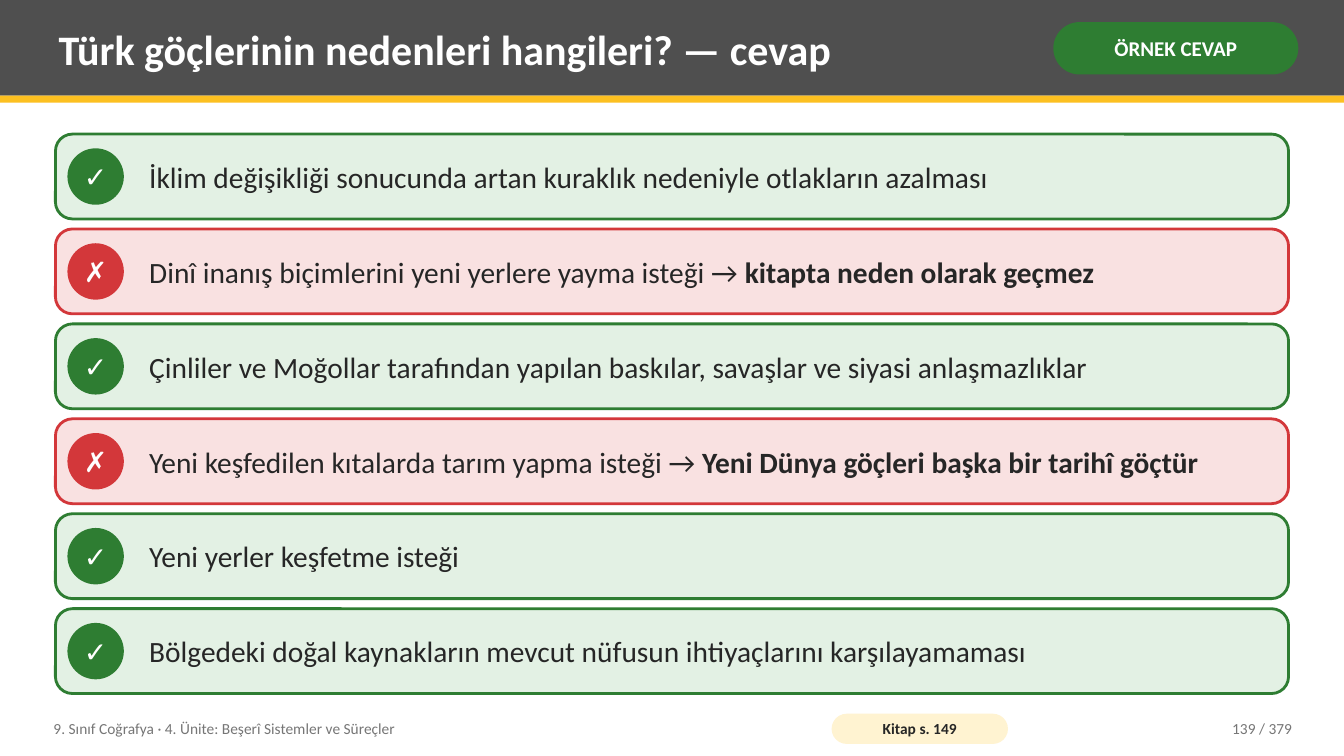
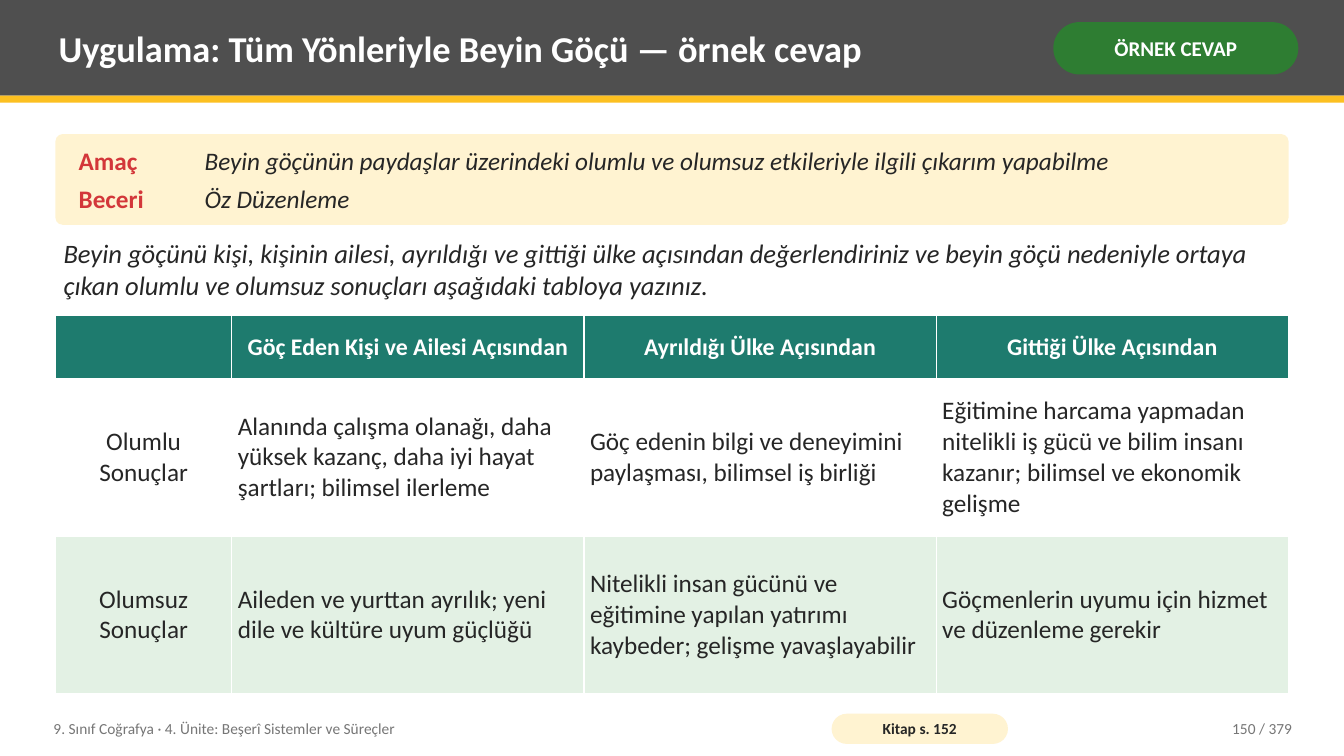
from dataclasses import dataclass

from lxml.etree import SubElement
from pptx import Presentation
from pptx.dml.color import RGBColor
from pptx.enum.shapes import MSO_SHAPE
from pptx.enum.text import MSO_ANCHOR, MSO_AUTO_SIZE, PP_ALIGN
from pptx.oxml.ns import qn
from pptx.util import Pt

BADGE = "ÖRNEK CEVAP"
FOOTER = "9. Sınıf Coğrafya · 4. Ünite: Beşerî Sistemler ve Süreçler"
PAGE_COUNT = 379

CAUSES = dict(
    title="Türk göçlerinin nedenleri hangileri? — cevap", title_size=30, book_page=149, page=139,
    answers=[
        (True, "İklim değişikliği sonucunda artan kuraklık nedeniyle otlakların azalması", ""),
        (False, "Dinî inanış biçimlerini yeni yerlere yayma isteği → ", "kitapta neden olarak geçmez"),
        (True, "Çinliler ve Moğollar tarafından yapılan baskılar, savaşlar ve siyasi anlaşmazlıklar", ""),
        (False, "Yeni keşfedilen kıtalarda tarım yapma isteği → ", "Yeni Dünya göçleri başka bir tarihî göçtür"),
        (True, "Yeni yerler keşfetme isteği", ""),
        (True, "Bölgedeki doğal kaynakların mevcut nüfusun ihtiyaçlarını karşılayamaması", ""),
    ],
)
BRAIN_DRAIN = dict(
    title="Uygulama: Tüm Yönleriyle Beyin Göçü — örnek cevap", title_size=26, book_page=152, page=150,
    goals=[
        ("Amaç", "Beyin göçünün paydaşlar üzerindeki olumlu ve olumsuz etkileriyle ilgili çıkarım yapabilme"),
        ("Beceri", "Öz Düzenleme"),
    ],
    task="Beyin göçünü kişi, kişinin ailesi, ayrıldığı ve gittiği ülke açısından değerlendiriniz ve "
         "beyin göçü nedeniyle ortaya çıkan olumlu ve olumsuz sonuçları aşağıdaki tabloya yazınız.",
    table=[
        ["", "Göç Eden Kişi ve Ailesi Açısından", "Ayrıldığı Ülke Açısından", "Gittiği Ülke Açısından"],
        ["Olumlu Sonuçlar",
         "Alanında çalışma olanağı, daha yüksek kazanç, daha iyi hayat şartları; bilimsel ilerleme",
         "Göç edenin bilgi ve deneyimini paylaşması, bilimsel iş birliği",
         "Eğitimine harcama yapmadan nitelikli iş gücü ve bilim insanı kazanır; bilimsel ve ekonomik gelişme"],
        ["Olumsuz Sonuçlar",
         "Aileden ve yurttan ayrılık; yeni dile ve kültüre uyum güçlüğü",
         "Nitelikli insan gücünü ve eğitimine yapılan yatırımı kaybeder; gelişme yavaşlayabilir",
         "Göçmenlerin uyumu için hizmet ve düzenleme gerekir"],
    ],
)


@dataclass(frozen=True)
class Theme:
    font: str = "Calibri"
    white: str = "FFFFFF"
    ink: str = "262626"
    muted: str = "767676"
    header: str = "4F4F4F"
    accent: str = "FCC021"
    cream: str = "FFF3D1"
    green: str = "2E7D32"
    pale_green: str = "E3F1E4"
    red: str = "D3373A"
    pale_red: str = "F9E1E1"
    teal: str = "1E7B6E"
    small: int = 11
    badge: int = 15
    table_head: int = 17
    body: int = 18
    task: int = 19
    mark: int = 20
    answer: int = 21


T = Theme()
SLIDE_W, SLIDE_H = 960, 540
LEFT, TOP, WIDTH, BOTTOM = 39.6, 95.8, 880.8, 495.4
INSETS = (5.8, 2.9)


def rgb(color):
    return RGBColor.from_string(color)


def write(tf, text, size=T.body, color=T.ink, bold=False, italic=False, align=PP_ALIGN.LEFT, strong=""):
    p = tf.paragraphs[0]
    p.alignment = align
    for part, is_bold in ((text, bold), (strong, True)):
        if part:
            r = p.add_run()
            r.text = part
            r.font.name, r.font.size = T.font, Pt(size)
            r.font.bold, r.font.italic = is_bold, italic
            r.font.color.rgb = rgb(color)


def set_frame(tf, insets=INSETS, wrap=True):
    tf.auto_size = MSO_AUTO_SIZE.NONE
    tf.word_wrap = wrap
    tf.vertical_anchor = MSO_ANCHOR.MIDDLE
    tf.margin_left = tf.margin_right = Pt(insets[0])
    tf.margin_top = tf.margin_bottom = Pt(insets[1])


def add_text(s, at, text, **style):
    tf = s.shapes.add_textbox(*map(Pt, at)).text_frame
    set_frame(tf)
    write(tf, text, **style)


def add_panel(s, kind, at, fill, line=None, radius=None):
    sp = s.shapes.add_shape(kind, *map(Pt, at))
    sp.shadow.inherit = False
    sp.fill.solid()
    sp.fill.fore_color.rgb = rgb(fill)
    if line:
        sp.line.color.rgb = rgb(line)
        sp.line.width = Pt(2)
    else:
        sp.line.fill.background()
    if radius is not None:
        sp.adjustments[0] = radius
    return sp


def add_label(s, kind, at, fill, text, insets=(0, 0), wrap=True, radius=None, **style):
    tf = add_panel(s, kind, at, fill, radius=radius).text_frame
    set_frame(tf, insets, wrap)
    write(tf, text, bold=True, align=PP_ALIGN.CENTER, **style)


def add_base(prs, content):
    s = prs.slides.add_slide(prs.slide_layouts[5])
    add_panel(s, MSO_SHAPE.RECTANGLE, (0, 0, SLIDE_W, 68.4), T.header)
    add_panel(s, MSO_SHAPE.RECTANGLE, (0, 68.4, SLIDE_W, 5), T.accent)
    title = s.shapes.title
    s.shapes.element.append(title.element)
    title.left, title.top, title.width, title.height = map(Pt, (36, 5, 702, 59))
    set_frame(title.text_frame)
    write(title.text_frame, content["title"], size=content["title_size"], color=T.white, bold=True)
    add_label(s, MSO_SHAPE.ROUNDED_RECTANGLE, (752.4, 15.8, 175, 37.4), T.green, BADGE,
              insets=(3.6, 1.4), radius=0.5, size=T.badge, color=T.white)
    add_text(s, (32.4, 507, 547, 26), FOOTER, size=T.small, color=T.muted)
    add_label(s, MSO_SHAPE.ROUNDED_RECTANGLE, (594, 509.8, 126, 21.6), T.cream,
              f"Kitap s. {content['book_page']}", insets=(2.9, 0), radius=0.5, size=T.small)
    add_text(s, (813.6, 507, 115.2, 26), f"{content['page']} / {PAGE_COUNT}",
             size=T.small, color=T.muted, align=PP_ALIGN.RIGHT)
    return s


def add_answers(s, answers):
    gap, circle = 7.2, 40.3
    height = (BOTTOM - TOP + gap) / len(answers) - gap
    for i, (correct, text, note) in enumerate(answers):
        y = TOP + i * (height + gap)
        mark, color, pale = ("✓", T.green, T.pale_green) if correct else ("✗", T.red, T.pale_red)
        add_panel(s, MSO_SHAPE.ROUNDED_RECTANGLE, (LEFT, y, WIDTH, height), pale, line=color, radius=0.2)
        add_label(s, MSO_SHAPE.OVAL, (LEFT + 8.6, y + (height - circle) / 2, circle, circle), color, mark,
                  wrap=False, size=T.mark, color=T.white)
        add_text(s, (100.8, y, 808.6, height), text, size=T.answer, strong=note)


def add_goals(s, goals):
    add_panel(s, MSO_SHAPE.ROUNDED_RECTANGLE, (LEFT, TOP, WIDTH, 64.8), T.cream, radius=0.08)
    for i, (name, text) in enumerate(goals):
        y = TOP + 4.3 + i * 27.2
        add_text(s, (50.4, y, 90, 29.2), name, color=T.red, bold=True)
        add_text(s, (140.4, y, 765.4, 29.2), text, italic=True)


def add_cell_borders(cell, color, width):
    props = cell._tc.get_or_add_tcPr()
    for i, side in enumerate(("a:lnL", "a:lnR", "a:lnT", "a:lnB")):
        ln = SubElement(props, qn(side), w=str(Pt(width)))
        SubElement(SubElement(ln, qn("a:solidFill")), qn("a:srgbClr"), val=color)
        props.insert(i, ln)


def add_results(s, rows):
    top, head_h, side_w = 225.4, 45, 126
    n_rows, n_cols = len(rows), len(rows[0])
    frame = s.shapes.add_table(n_rows, n_cols, *map(Pt, (LEFT, top, WIDTH, BOTTOM - top)))
    table = frame.table
    table.first_row = table.horz_banding = False
    for c, col in enumerate(table.columns):
        col.width = Pt((WIDTH - side_w) / (n_cols - 1) if c else side_w)
    for r, row in enumerate(table.rows):
        row.height = Pt((BOTTOM - top - head_h) / (n_rows - 1) if r else head_h)
    fills = (T.teal, T.white, T.pale_green)
    for r, texts in enumerate(rows):
        head = dict(size=T.table_head, color=T.white, bold=True) if r == 0 else {}
        for c, text in enumerate(texts):
            cell = table.cell(r, c)
            cell.fill.solid()
            cell.fill.fore_color.rgb = rgb(fills[r])
            cell.vertical_anchor = MSO_ANCHOR.MIDDLE
            cell.margin_left = cell.margin_right = Pt(4.3)
            cell.margin_top = cell.margin_bottom = Pt(3.6)
            add_cell_borders(cell, T.white, 0.96)
            centred = r == 0 or c == 0
            write(cell.text_frame, text, align=PP_ALIGN.CENTER if centred else PP_ALIGN.LEFT, **head)


def main():
    prs = Presentation()
    prs.slide_width, prs.slide_height = Pt(SLIDE_W), Pt(SLIDE_H)
    add_answers(add_base(prs, CAUSES), CAUSES["answers"])
    s = add_base(prs, BRAIN_DRAIN)
    add_goals(s, BRAIN_DRAIN["goals"])
    add_text(s, (LEFT, 164.2, WIDTH, 56.2), BRAIN_DRAIN["task"], size=T.task, italic=True)
    add_results(s, BRAIN_DRAIN["table"])
    prs.save("out.pptx")


if __name__ == "__main__":
    main()
